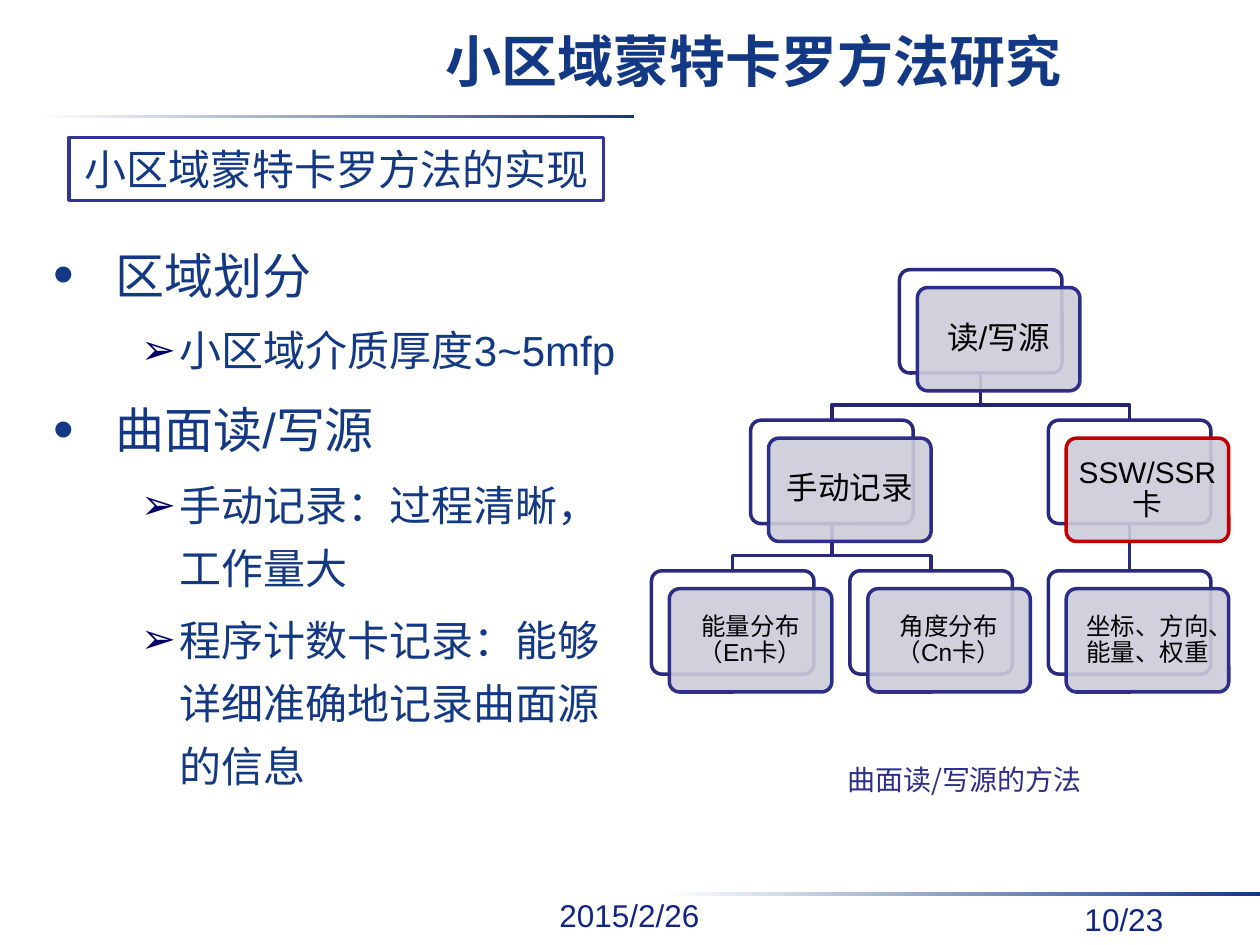
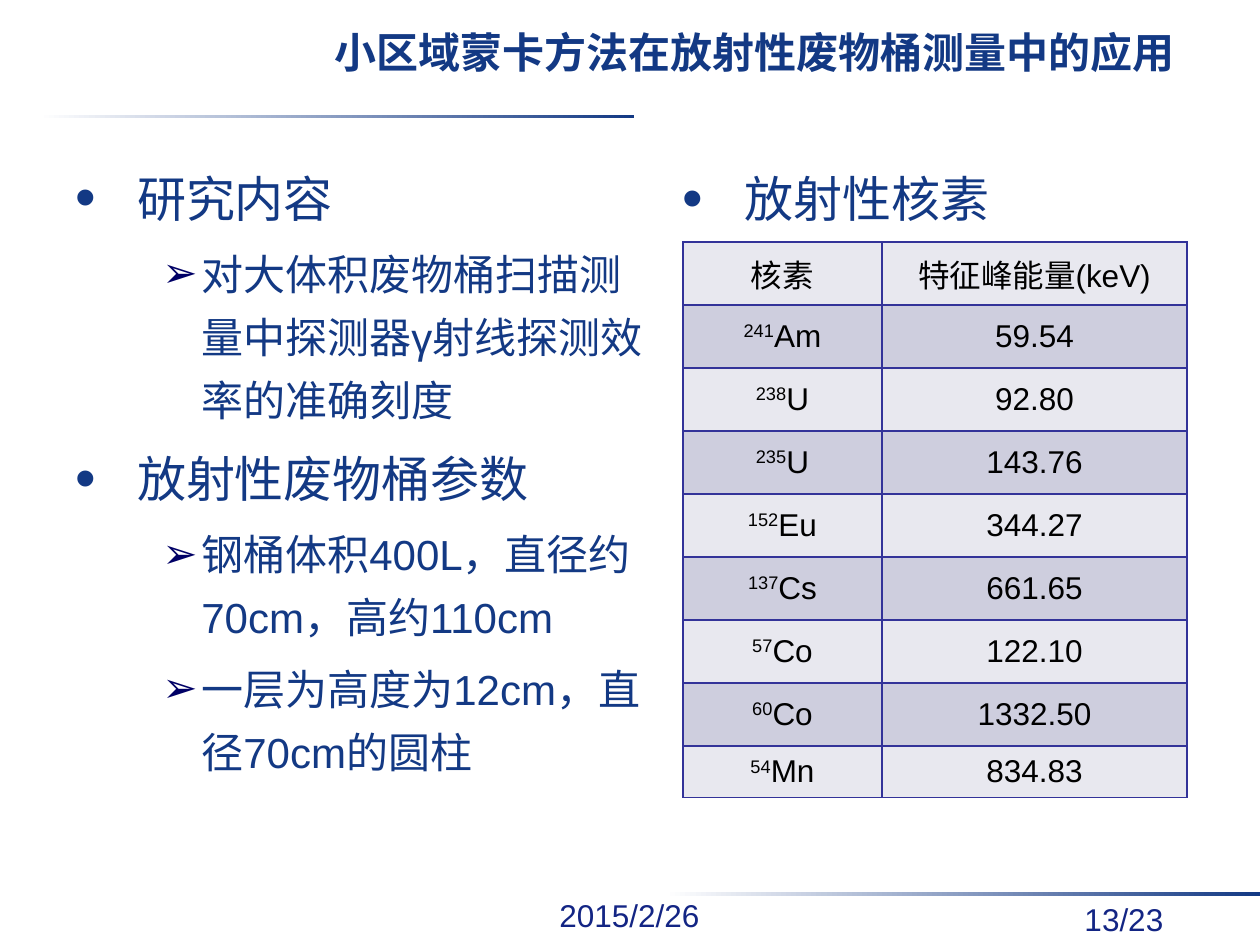
from lxml.etree import SubElement
from pptx import Presentation
from pptx.dml.color import RGBColor
from pptx.enum.shapes import MSO_CONNECTOR, MSO_SHAPE
from pptx.enum.text import MSO_ANCHOR, PP_ALIGN
from pptx.oxml.ns import qn
from pptx.util import Inches, Pt

HEX = {
    "ink": "133984", "foot": "132584", "white": "FFFFFF", "black": "000000",
    "rule": "333399", "back": "29297D", "front": "2D2D8A", "stem": "24246F",
    "card": "CDCDDA", "alert": "C00000", "arrow": "000066",
    "light": "E8E8EF", "dark": "CECEDE",
}
SANS, HAN = "Arial", "Noto Sans CJK SC"
COLS, ROWS = 100, 75  # grid cells across and down the slide

# Bullet levels: size, left margin, hanging indent, mark, mark size, mark colour
LEVELS = [(28, 0.49, 0.49, "•", 120, "ink"), (24, 1, 0.31, "➢", 100, "arrow")]

# Tree of source cards: name -> (slot, row, text, size, parent)
CARDS = {
    "root": (1.25, 0, "读/写源", 18, None),
    "hand": (0.5, 1, "手动记录", 18, "root"),
    "card": (2, 1, "SSW/SSR卡", 17, "root"),
    "power": (0, 2, "能量分布（En卡）", 14, "hand"),
    "angle": (1, 2, "角度分布（Cn卡）", 14, "hand"),
    "place": (2, 2, "坐标、方向、能量、权重", 14, "card"),
}

PEAKS = [
    ("241", "Am", "59.54"), ("238", "U", "92.80"), ("235", "U", "143.76"),
    ("152", "Eu", "344.27"), ("137", "Cs", "661.65"), ("57", "Co", "122.10"),
    ("60", "Co", "1332.50"), ("54", "Mn", "834.83"),
]

METHOD = [
    (0, "区域划分"), (1, "小区域介质厚度3~5mfp"), (0, "曲面读/写源"),
    (1, "手动记录：过程清晰，工作量大"),
    (1, "程序计数卡记录：能够详细准确地记录曲面源的信息"),
]
STUDY = [
    (0, "研究内容"), (1, "对大体积废物桶扫描测量中探测器γ射线探测效率的准确刻度"),
    (0, "放射性废物桶参数"), (1, "钢桶体积400L，直径约70cm，高约110cm"),
    (1, "一层为高度为12cm，直径70cm的圆柱"),
]


def rgb(name):
    return RGBColor.from_string(HEX[name])


def write(frame, text, size=18, color="ink", font=SANS, bold=False,
          align=PP_ALIGN.CENTER, lead=None, sup=""):
    """Add one paragraph, with an optional raised prefix."""
    para = frame.paragraphs[-1]
    if para.runs:
        para = frame.add_paragraph()
    para.alignment = align
    if lead:
        para.line_spacing = lead
    for part, base in ((sup, "30000"), (text, None)):
        if not part:
            continue
        run = para.add_run()
        run.text = part
        run.font.size, run.font.bold, run.font.name = Pt(size), bold, font
        run.font.color.rgb = rgb(color)
        mark = run._r.get_or_add_rPr()
        SubElement(mark, qn("a:ea")).set("typeface", HAN)
        if base:
            mark.set("baseline", base)
    return para


def pad(part, side, top):
    part.margin_left = part.margin_right = Inches(side)
    part.margin_top = part.margin_bottom = Inches(top)


class Deck:
    def __init__(self):
        self.file = Presentation()
        self.file.slide_width, self.file.slide_height = Inches(10), Inches(7.5)
        self.slide = None

    def grid(self, *cells):
        """Turn alternating columns and rows into lengths."""
        units = (self.file.slide_width / COLS, self.file.slide_height / ROWS)
        return [round(n * units[i % 2]) for i, n in enumerate(cells)]

    def page(self, title, size, font, number):
        self.slide = self.file.slides.add_slide(self.file.slide_layouts[6])
        for spot in ((3.1, 9.1), (52.8, 70.8)):
            self.band(*spot)
        for spot, text in (((42.5, 70.6, 14.9, 4), "2015/2/26"),
                           ((84.9, 70.9, 8.6, 4), number)):
            write(self.text(*spot, wrap=False), text, color="foot")
        frame = self.text(25, 1.5, 69.7, 7.5)
        frame.margin_top = Inches(0.06)
        write(frame, title, size, font=font, bold=True)

    def band(self, x, y):
        bar = self.shape(MSO_SHAPE.RECTANGLE, x, y, 47.2, 0.3)
        bar.fill.gradient()
        bar.fill.gradient_angle = 0
        for stop, name in zip(bar.fill.gradient_stops, ("white", "ink")):
            stop.color.rgb = rgb(name)

    def text(self, *spot, wrap=True):
        frame = self.slide.shapes.add_textbox(*self.grid(*spot)).text_frame
        frame.word_wrap = wrap
        return frame

    def shape(self, kind, *spot, fill=None, line=None):
        item = self.slide.shapes.add_shape(kind, *self.grid(*spot))
        item.shadow.inherit = False
        if fill:
            item.fill.solid()
            item.fill.fore_color.rgb = rgb(fill)
        self.edge(item, line)
        return item

    def edge(self, item, name):
        if name:
            item.line.color.rgb, item.line.width = rgb(name), Pt(2)
        else:
            item.line.fill.background()

    def label(self, text, *spot):
        box = self.shape(MSO_SHAPE.RECTANGLE, *spot, fill="white", line="rule")
        box.text_frame.word_wrap = False
        box.text_frame.vertical_anchor = MSO_ANCHOR.MIDDLE
        write(box.text_frame, text, 24, font=HAN)

    def bullets(self, items, *spot):
        frame = self.text(*spot)
        for level, text in items:
            size, left, hang, mark, scale, color = LEVELS[level]
            para = write(frame, text, size, align=PP_ALIGN.LEFT, lead=1.25)
            para.level, para.space_before = level, Pt(size * 0.2)
            props = para._p.get_or_add_pPr()
            props.set("marL", str(Inches(left)))
            props.set("indent", str(-Inches(hang)))
            tint = SubElement(props, qn("a:buClr"))
            SubElement(tint, qn("a:srgbClr")).set("val", HEX[color])
            SubElement(props, qn("a:buSzPct")).set("val", str(scale * 1000))
            SubElement(props, qn("a:buFont")).set("typeface", SANS)
            SubElement(props, qn("a:buChar")).set("char", mark)

    def link(self, start, end, color):
        """Join two cards, with a bend where they are not in line."""
        (x, y), (to, low) = start, end
        if x == to:
            item = self.slide.shapes.add_connector(
                MSO_CONNECTOR.STRAIGHT, *self.grid(x, y, to, low))
            SubElement(item._element.spPr, qn("a:effectLst"))
        else:
            bend = low - 1.2
            path = self.slide.shapes.build_freeform(*self.grid(x, y))
            path.add_line_segments(
                [self.grid(*p) for p in ((x, bend), (to, bend), end)], close=False)
            item = path.convert_to_shape()
            item.shadow.inherit = False
            item.fill.background()
        self.edge(item, color)

    def tree(self, cards, left, top, wide=12.9, high=8.2, shift=1.42):
        def corner(name):
            slot, row = cards[name][:2]
            return left + slot * 15.75, top + row * 11.95

        # Links lie behind the cards
        for name, (_, row, _, _, above) in cards.items():
            if above:
                x, y = corner(above)
                to, low = corner(name)
                self.link((x + wide / 2, y + high), (to + wide / 2, low),
                          "stem" if row == 1 else "back")
        # Each card has a white back and a clear front
        for name, (_, _, text, size, _) in cards.items():
            x, y = corner(name)
            edge = "alert" if name == "card" else "front"
            for step, fill, line in ((0, "white", "back"), (shift, "card", edge)):
                card = self.shape(MSO_SHAPE.ROUNDED_RECTANGLE, x + step, y + step,
                                  wide, high, fill=fill, line=line)
                card.adjustments[0] = 0.1
            tint = card._element.spPr.find(qn("a:solidFill"))[0]
            SubElement(tint, qn("a:alpha")).set("val", "90000")
            frame = card.text_frame
            frame.word_wrap, frame.vertical_anchor = True, MSO_ANCHOR.MIDDLE
            pad(frame, 0.07, 0.07)
            write(frame, text, size, "black", lead=0.9)

    def table(self, head, rows, widths, heights, left, top):
        spot = self.grid(left, top, sum(widths), sum(heights))
        table = self.slide.shapes.add_table(len(rows) + 1, 2, *spot).table
        table.first_row = table.horz_banding = False
        for col, wide in zip(table.columns, widths):
            col.width = self.grid(wide)[0]
        for row, high in zip(table.rows, heights):
            row.height = self.grid(0, high)[1]
        lines = [("", *head)] + rows
        for i, (sup, *texts) in enumerate(lines):
            for j, text in enumerate(texts):
                cell = table.cell(i, j)
                self.frame(cell)
                cell.fill.solid()
                cell.fill.fore_color.rgb = rgb("dark" if i % 2 else "light")
                cell.vertical_anchor = MSO_ANCHOR.MIDDLE
                if i:
                    pad(cell, 0.04, 0)
                write(cell.text_frame, text, color="black", sup="" if j else sup)

    def frame(self, cell):
        props = cell._tc.get_or_add_tcPr()
        for side in "LRTB":
            line = SubElement(props, qn("a:ln" + side))
            line.set("w", str(Pt(1)))
            fill = SubElement(line, qn("a:solidFill"))
            SubElement(fill, qn("a:srgbClr")).set("val", HEX["rule"])


def main():
    deck = Deck()

    # Method: bullets and the tree of source cards
    deck.page("小区域蒙特卡罗方法研究", 32, SANS, "10/23")
    deck.tree(CARDS, 51.7, 21.4)
    deck.label("小区域蒙特卡罗方法的实现", 5.5, 10.9, 42.4, 5)
    deck.bullets(METHOD, 3.3, 17.8, 46.7, 52.2)
    write(deck.text(66, 60, 21.1, 3.7), "曲面读/写源的方法", 16, "front", HAN)

    # Use: drum study and the table of nuclides
    deck.page("小区域蒙卡方法在放射性废物桶测量中的应用", 24, HAN, "13/23")
    deck.bullets([(0, "放射性核素")], 53.2, 11.7, 44.2, 58.1)
    deck.bullets(STUDY, 5, 11.7, 47.5, 60)
    deck.table(("核素", "特征峰能量(keV)"), PEAKS, (15.8, 24.2),
               [5] * len(PEAKS) + [4.1], 54.2, 19.2)

    deck.file.save("out.pptx")


if __name__ == "__main__":
    main()
